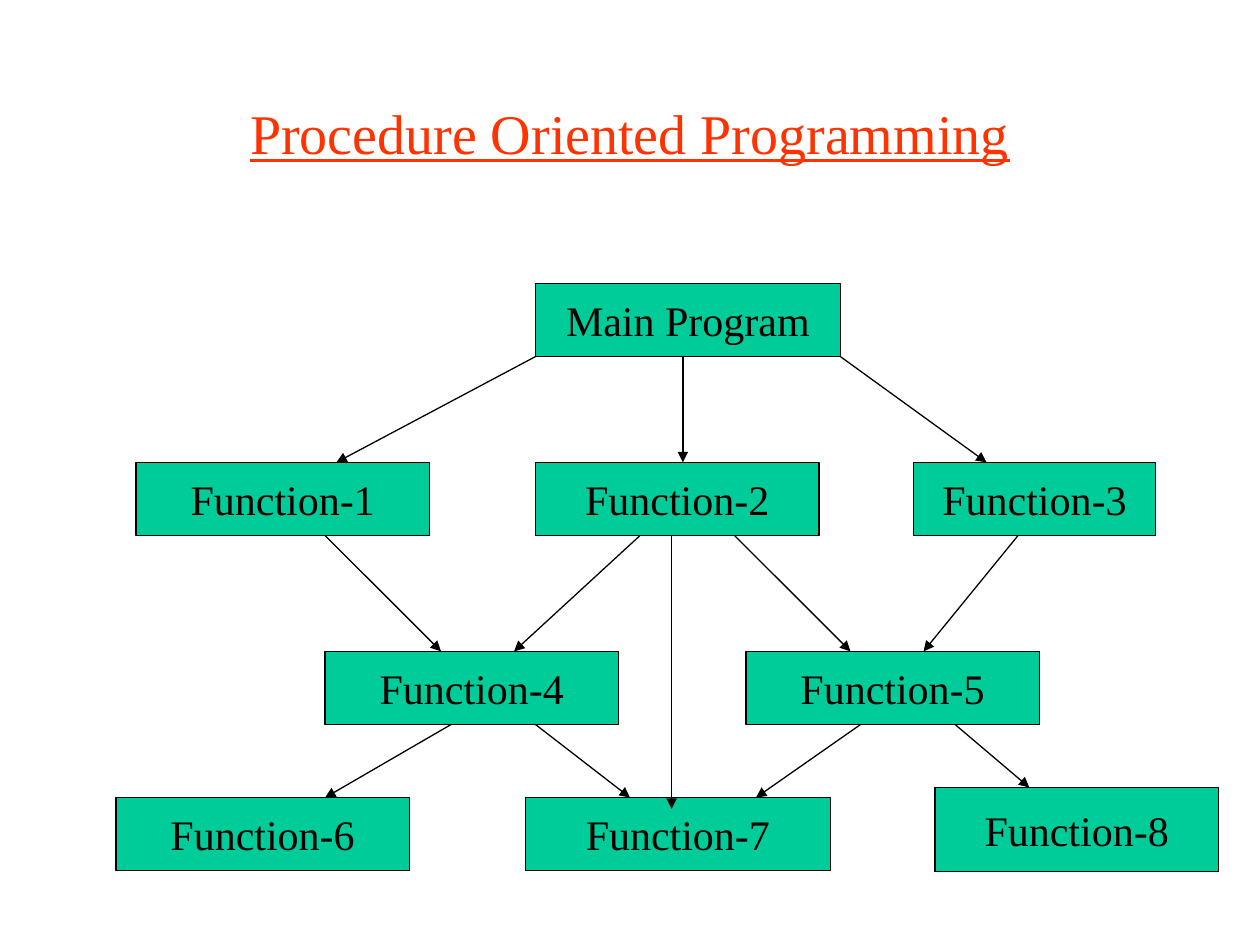
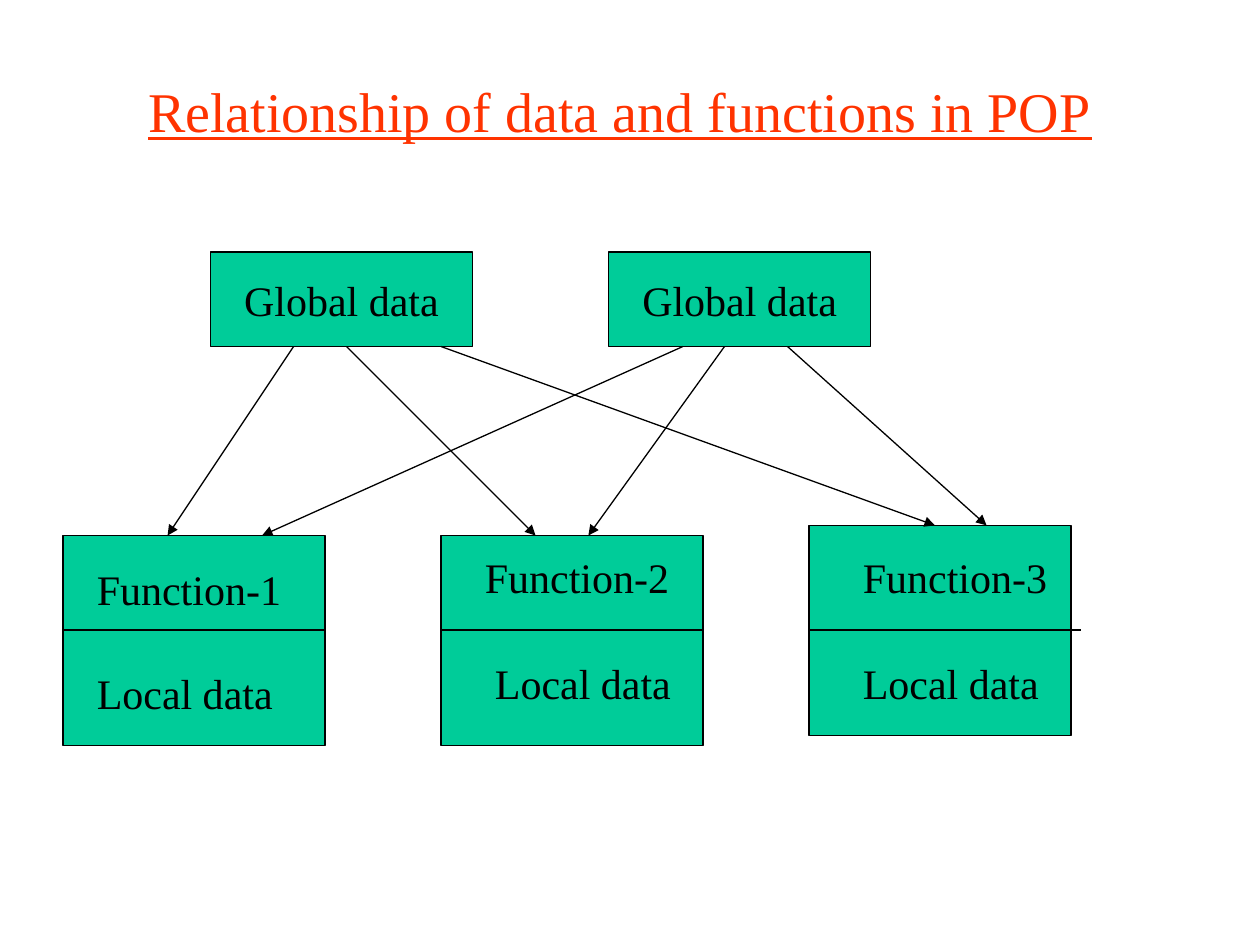
from lxml import etree
from pptx import Presentation
from pptx.dml.color import RGBColor
from pptx.enum.shapes import MSO_CONNECTOR, MSO_SHAPE
from pptx.enum.text import MSO_ANCHOR, MSO_AUTO_SIZE, PP_ALIGN
from pptx.oxml.ns import qn
from pptx.util import Inches, Pt

RECT = MSO_SHAPE.RECTANGLE
STRAIGHT = MSO_CONNECTOR.STRAIGHT
TOP, MIDDLE = MSO_ANCHOR.TOP, MSO_ANCHOR.MIDDLE
LEFT, CENTER = PP_ALIGN.LEFT, PP_ALIGN.CENTER
FIT_SHAPE = MSO_AUTO_SIZE.SHAPE_TO_FIT_TEXT

COLORS = {"title": "FF3300", "box": "00CC99", "ink": "000000"}
FONT = "Times New Roman"
LINE_WIDTH = Pt(0.75)


def rgb(name):
    return RGBColor.from_string(COLORS[name])


def write(tf, text, size=24, color="ink", underline=False, align=CENTER,
          anchor=MIDDLE, wrap=False):
    tf.word_wrap = wrap
    tf.vertical_anchor = anchor
    p = tf.paragraphs[0]
    p.alignment = align
    r = p.add_run()
    r.text = text
    r.font.name = FONT
    r.font.size = Pt(size)
    r.font.underline = underline
    r.font.color.rgb = rgb(color)


class Deck:
    def __init__(self):
        self.prs = Presentation()
        self.prs.slide_width, self.prs.slide_height = Inches(10), Inches(7.5)
        self.s = None

    def slide(self, title, x, y):
        self.s = self.prs.slides.add_slide(self.prs.slide_layouts[6])
        sp = self.s.shapes.add_textbox(Inches(x), Inches(y), Inches(8.5), Inches(1.25))
        write(sp.text_frame, title, size=32, color="title", underline=True, wrap=True)

    def box(self, x, y, w, h, text=None):
        sp = self.s.shapes.add_shape(RECT, Inches(x), Inches(y), Inches(w), Inches(h))
        sp.shadow.inherit = False
        sp.fill.solid()
        sp.fill.fore_color.rgb = rgb("box")
        sp.line.color.rgb = rgb("ink")
        sp.line.width = LINE_WIDTH
        if text:
            write(sp.text_frame, text)
        return sp

    def label(self, text, x, y):
        sp = self.s.shapes.add_textbox(Inches(x), Inches(y), Inches(1.66), Inches(0.5))
        write(sp.text_frame, text, align=LEFT, anchor=TOP)
        sp.text_frame.auto_size = FIT_SHAPE

    def line(self, x1, y1, x2, y2):
        c = self.s.shapes.add_connector(STRAIGHT, x1, y1, x2, y2)
        c.line.color.rgb = rgb("ink")
        c.line.width = LINE_WIDTH
        etree.SubElement(c._element.spPr, qn("a:effectLst"))
        return c

    def arrow(self, source, x1, target, x2, inset=0):
        """Point from the source's bottom edge to the target's top edge, or inset below it."""
        c = self.line(Inches(x1), source.top + source.height,
                      Inches(x2), target.top + Inches(inset))
        etree.SubElement(c.line._get_or_add_ln(), qn("a:tailEnd"), type="triangle")


def call_tree(deck):
    deck.slide("Procedure Oriented Programming", 0.75, 0.42)
    main = deck.box(4.25, 2.25, 2.42, 0.58, "Main Program")
    places = [
        (1.08, 3.67, 2.33, 0.58), (4.25, 3.67, 2.25, 0.58), (7.25, 3.67, 1.92, 0.58),
        (2.58, 5.17, 2.33, 0.58), (5.92, 5.17, 2.33, 0.58),
        (0.92, 6.33, 2.33, 0.58), (4.17, 6.33, 2.42, 0.58), (7.42, 6.25, 2.25, 0.67),
    ]
    f1, f2, f3, f4, f5, f6, f7, f8 = [
        deck.box(*place, f"Function-{n}") for n, place in enumerate(places, 1)]
    for call in [
        (main, 4.25, f1, 2.67), (main, 5.42, f2, 5.42), (main, 6.67, f3, 7.83),
        (f1, 2.58, f4, 3.5), (f2, 5.08, f4, 4.08),
        (f2, 5.83, f5, 6.75), (f3, 8.08, f5, 7.33),
        (f4, 3.58, f6, 2.58), (f4, 4.25, f7, 5), (f2, 5.33, f7, 5.33, 0.09),
        (f5, 6.83, f7, 6), (f5, 7.58, f8, 8.17),
    ]:
        deck.arrow(*call)


def data_sharing(deck):
    deck.slide("Relationship of data and functions in POP", 0.67, 0.25)
    global1, global2 = [deck.box(x, 2, 2.08, 0.75, "Global data") for x in (1.67, 4.83)]
    functions = []
    # box left and top, divider length, name left and top, local data left and top
    for n, (x, y, divider, name_x, name_y, local_x, local_y) in enumerate([
        (0.5, 4.25, 2.08, 0.67, 4.42, 0.67, 5.25),
        (3.5, 4.25, 2.08, 3.75, 4.33, 3.83, 5.17),
        (6.42, 4.17, 2.16, 6.75, 4.33, 6.75, 5.17),
    ], 1):
        functions.append(deck.box(x, y, 2.08, 1.67))
        deck.line(Inches(x), Inches(5), Inches(x + divider), Inches(5))
        deck.label(f"Function-{n}", name_x, name_y)
        deck.label("Local data", local_x, local_y)
    for source, ends in [
        (global1, [(2.33, 1.33), (2.75, 4.25), (3.5, 7.42)]),
        (global2, [(5.42, 2.08), (5.75, 4.67), (6.25, 7.83)]),
    ]:
        for target, (x1, x2) in zip(functions, ends):
            deck.arrow(source, x1, target, x2)


def main():
    deck = Deck()
    call_tree(deck)
    data_sharing(deck)
    deck.prs.save("out.pptx")


if __name__ == "__main__":
    main()
